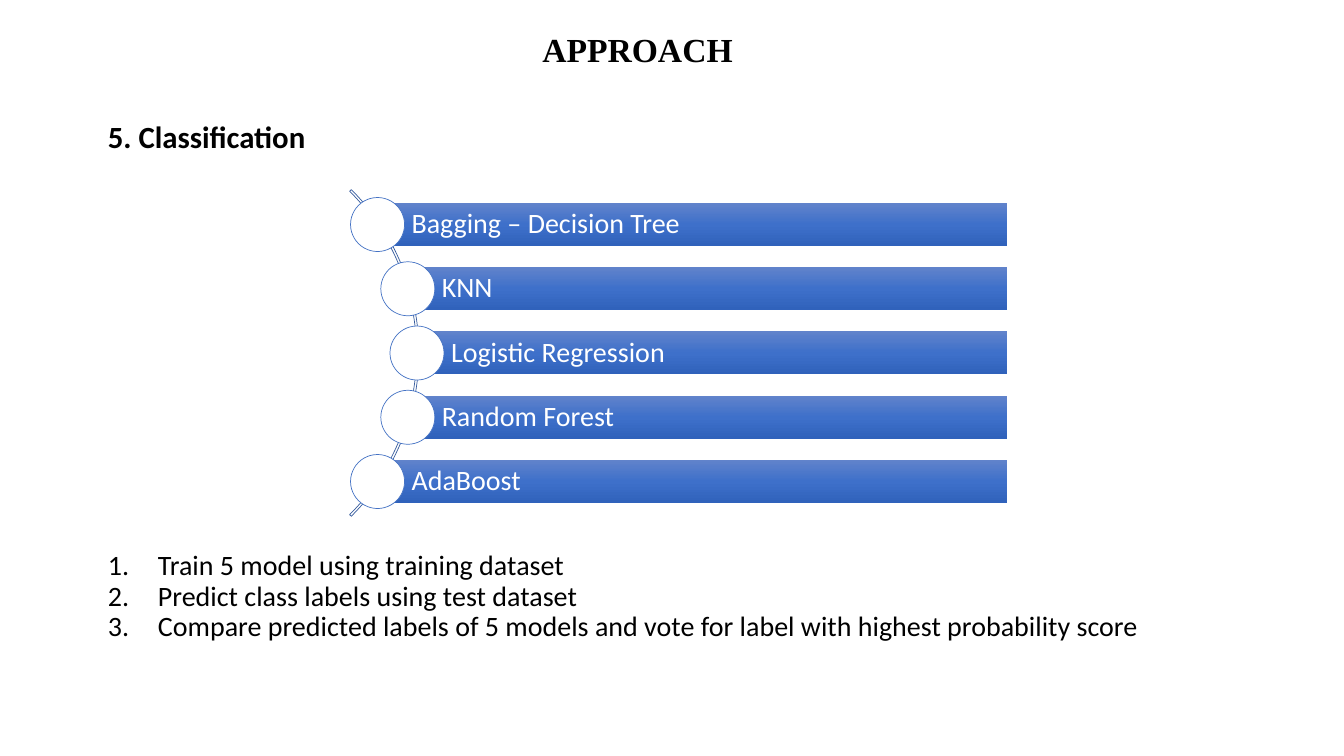
import copy
import dataclasses
import math

import pptx
import pptx.dml.color
import pptx.enum.shapes
import pptx.enum.text
import pptx.oxml
import pptx.oxml.ns
import pptx.util
from lxml import etree

# Content
TITLE = "APPROACH"
HEADING = "5. Classification"
MODELS = ["Bagging – Decision Tree", "KNN", "Logistic Regression", "Random Forest", "AdaBoost"]
STEPS = [
    "Train 5 model using training dataset",
    "Predict class labels using test dataset",
    "Compare predicted labels of 5 models and vote for label with highest probability score",
]

# Layout in px
PX = 914400 / 100.8
SLIDE = (1344, 756)
TITLE_BOX = (58, 23, 1159, 57)
HEADING_BOX = (98, 118, 1159, 42)
STEPS_BOX = (98, 505, 1159, 184)
STEP_INDENT = 50
ARC_CENTRE = (188, 353)
ARC_RADIUS = 231
DOT_RADIUS = 229
DOT_SIZE = 54
BAR_SPAN = 257
BAR_HEIGHT = 43
BAR_RIGHT = 1007
BAR_INSETS = {"margin_left": 34, "margin_top": 6, "margin_right": 6, "margin_bottom": 6}


@dataclasses.dataclass(frozen=True)
class Theme:
    ink: str = "000000"
    paper: str = "FFFFFF"
    arc_line: str = "365B9D"
    dot_line: str = "4472C4"
    bar_stops: tuple = ("6183CB", "3E70CA", "3062BB")
    title_font: str = "Times New Roman"
    body_font: str = "Calibri"
    title_size: int = 24
    heading_size: int = 22
    body_size: int = 20
    line_width: float = 0.5
    spacing: float = 0.9


THEME = Theme()
SHAPE = pptx.enum.shapes.MSO_SHAPE
ALIGN = pptx.enum.text.PP_ALIGN


def px(length):
    return pptx.util.Emu(round(length * PX))


def rgb(code):
    return pptx.dml.color.RGBColor.from_string(code)


def apply(target, values):
    for name, value in values.items():
        setattr(target, name, value)


def write(frame, lines, size, colour=THEME.ink, font=THEME.body_font, bold=False, align=ALIGN.LEFT):
    apply(frame, {
        "word_wrap": True,
        "auto_size": pptx.enum.text.MSO_AUTO_SIZE.NONE,
        "vertical_anchor": pptx.enum.text.MSO_ANCHOR.MIDDLE,
    })
    for index, line in enumerate(lines):
        paragraph = frame.add_paragraph() if index else frame.paragraphs[0]
        apply(paragraph, {
            "alignment": align, "line_spacing": THEME.spacing,
            "space_before": pptx.util.Pt(0), "space_after": pptx.util.Pt(0),
        })
        run = paragraph.add_run()
        run.text = line
        apply(run.font, {"name": font, "size": pptx.util.Pt(size), "bold": bold})
        run.font.color.rgb = rgb(colour)


def add_shape(slide, kind, box, line=None):
    shape = slide.shapes.add_shape(kind, *map(px, box))
    shape.shadow.inherit = False
    if line:
        shape.line.color.rgb = rgb(line)
        shape.line.width = pptx.util.Pt(THEME.line_width)
    else:
        shape.line.fill.background()
    return shape


def fill_bar(bar):
    bar.fill.gradient()
    bar.fill.gradient_angle = 270
    first = bar.fill.gradient_stops[0]
    first.color.rgb = rgb(THEME.bar_stops[0])
    # A third stop halfway down
    first_element = bar._element.spPr.xpath(".//a:gs")[0]
    first_element.addnext(copy.deepcopy(first_element))
    for index, (stop, colour) in enumerate(zip(bar.fill.gradient_stops, THEME.bar_stops)):
        stop.position = index / 2
        stop.color.rgb = rgb(colour)


def add_models(slide):
    centre_x, centre_y = ARC_CENTRE
    # Arc behind the rows
    arc = add_shape(slide, SHAPE.BLOCK_ARC,
                    (centre_x - ARC_RADIUS, centre_y - ARC_RADIUS, 2 * ARC_RADIUS, 2 * ARC_RADIUS),
                    THEME.arc_line)
    arc.fill.background()
    for index, value in enumerate((189, 27, 0.005)):
        arc.adjustments[index] = value

    # Each bar starts at its dot's centre on the arc
    for index, model in enumerate(MODELS):
        offset = BAR_SPAN * (index / (len(MODELS) - 1) - 0.5)
        x = centre_x + math.sqrt(DOT_RADIUS ** 2 - offset ** 2)
        y = centre_y + offset
        bar = add_shape(slide, SHAPE.RECTANGLE, (x, y - BAR_HEIGHT / 2, BAR_RIGHT - x, BAR_HEIGHT))
        fill_bar(bar)
        apply(bar.text_frame, {name: px(inset) for name, inset in BAR_INSETS.items()})
        write(bar.text_frame, [model], THEME.body_size, THEME.paper)
        dot = add_shape(slide, SHAPE.OVAL,
                        (x - DOT_SIZE / 2, y - DOT_SIZE / 2, DOT_SIZE, DOT_SIZE), THEME.dot_line)
        dot.fill.solid()
        dot.fill.fore_color.rgb = rgb(THEME.paper)


def main():
    deck = pptx.Presentation()
    deck.slide_width, deck.slide_height = map(px, SLIDE)
    slide = deck.slides.add_slide(deck.slide_layouts[5])

    # Title and heading
    title = slide.shapes.title
    apply(title, dict(zip(("left", "top", "width", "height"), map(px, TITLE_BOX))))
    write(title.text_frame, [TITLE], THEME.title_size, font=THEME.title_font, bold=True,
          align=ALIGN.CENTER)
    heading = slide.shapes.add_textbox(*map(px, HEADING_BOX))
    write(heading.text_frame, [HEADING], THEME.heading_size, bold=True)

    # Numbered steps
    steps = slide.shapes.add_textbox(*map(px, STEPS_BOX))
    write(steps.text_frame, STEPS, THEME.body_size)
    for paragraph in steps.text_frame.paragraphs:
        properties = paragraph._p.get_or_add_pPr()
        properties.set("marL", str(px(STEP_INDENT)))
        properties.set("indent", str(-px(STEP_INDENT)))
        number = etree.SubElement(properties, pptx.oxml.ns.qn("a:buAutoNum"))
        number.set("type", "arabicPeriod")

    add_models(slide)
    deck.save("out.pptx")


if __name__ == "__main__":
    main()
